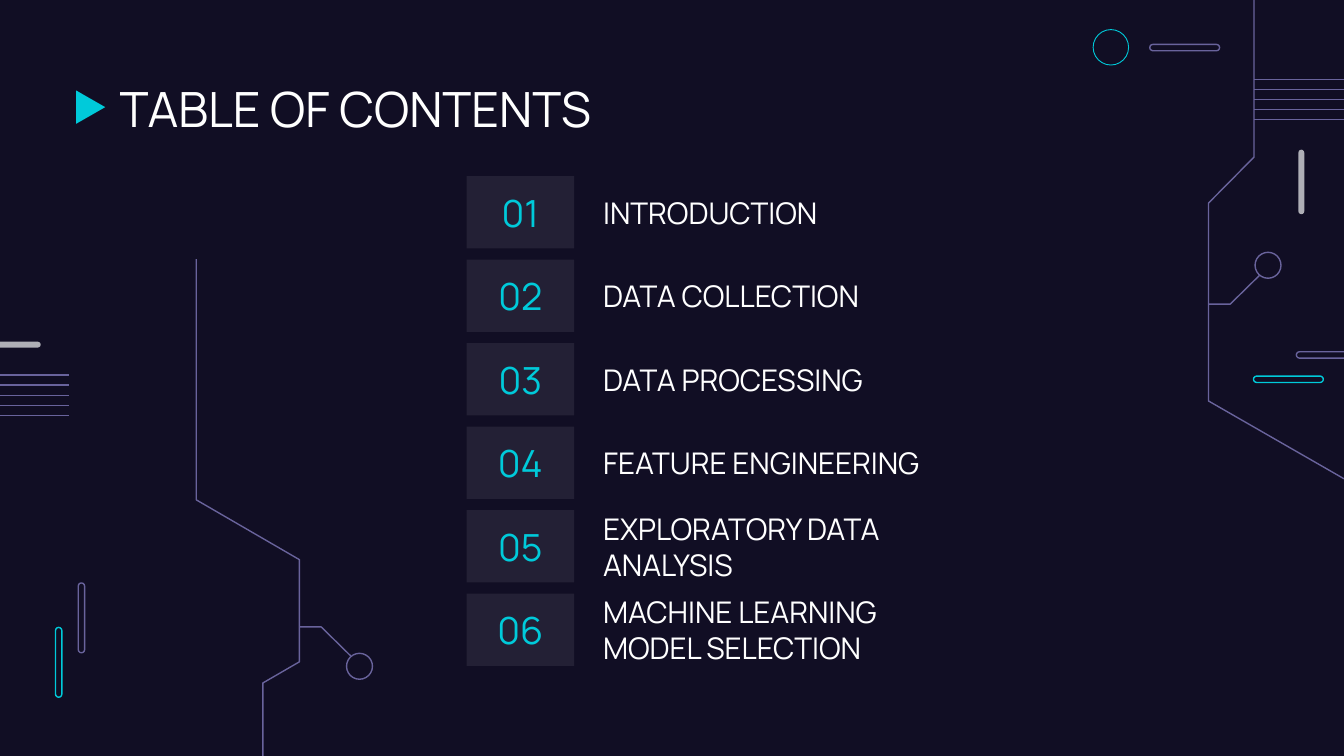
from dataclasses import dataclass

from lxml import etree
from pptx import Presentation
from pptx import util as u
from pptx.dml.color import RGBColor
from pptx.enum import shapes, text
from pptx.oxml.ns import qn


@dataclass(frozen=True)
class Theme:
    """Colours, font and sizes of the deck."""
    back: str = "110E24"
    accent: str = "00CADA"
    trace: str = "69639C"
    bar: str = "AFAFB6"
    white: str = "FFFFFF"
    tile_alpha: int = 8
    font: str = "Manrope"
    title: int = 26
    number: int = 20
    label: int = 16
    line: float = 0.75
    thin: float = 0.47


T = Theme()
KIND = shapes.MSO_SHAPE
TOPICS = ["INTRODUCTION", "DATA COLLECTION", "DATA PROCESSING", "FEATURE ENGINEERING",
          "EXPLORATORY DATA ANALYSIS", "MACHINE LEARNING MODEL SELECTION"]


def rgb(value):
    """Return the colour for a hex string."""
    return RGBColor.from_string(value)


def paint(sp, fill=None, line=None, width=T.line):
    """Set fill and outline, leaving out whichever is not given."""
    sp.shadow.inherit = False
    if fill:
        sp.fill.solid()
        sp.fill.fore_color.rgb = rgb(fill)
    else:
        sp.fill.background()
    if line:
        sp.line.color.rgb = rgb(line)
        sp.line.width = u.Pt(width)
    else:
        sp.line.fill.background()


def add_preset(slide, kind, x, y, w, h, **style):
    """Add a painted preset shape in a box given in centimetres."""
    sp = slide.shapes.add_shape(kind, u.Cm(x), u.Cm(y), u.Cm(w), u.Cm(h))
    paint(sp, **style)
    return sp


def add_pill(slide, x, y, w, h, **style):
    """Add a bar with fully rounded ends."""
    sp = add_preset(slide, KIND.ROUNDED_RECTANGLE, x, y, w, h, **style)
    sp.adjustments[0] = 0.5


def add_path(slide, x, y, points):
    """Add an open outline through points relative to x, y."""
    pts = [(u.Cm(x + dx), u.Cm(y + dy)) for dx, dy in points]
    builder = slide.shapes.build_freeform(*pts[0])
    builder.add_line_segments(pts[1:], close=False)
    paint(builder.convert_to_shape(), line=T.trace)


def write(sp, content, size, color, align=text.PP_ALIGN.LEFT, anchor=text.MSO_ANCHOR.MIDDLE):
    """Put one styled paragraph in a shape."""
    tf = sp.text_frame
    tf.word_wrap = True
    tf.vertical_anchor = anchor
    tf.margin_left = tf.margin_right = tf.margin_top = tf.margin_bottom = u.Cm(0.25)
    p = tf.paragraphs[0]
    p.text = content
    p.alignment = align
    p.font.name = T.font
    p.font.size = u.Pt(size)
    p.font.color.rgb = rgb(color)


def add_circuit(slide, x, y, trunk, branch, node):
    """Draw a trunk and its branch ending in a round node."""
    add_path(slide, x, y, trunk)
    add_path(slide, x, y, branch)
    add_preset(slide, KIND.OVAL, x + node[0], y + node[1], 0.49, 0.49, line=T.trace)


def add_bus(slide, x, y, w, count=5, pitch=0.19):
    """Draw evenly spaced horizontal lines."""
    for i in range(count):
        top = u.Cm(y + i * pitch)
        line = slide.shapes.add_connector(shapes.MSO_CONNECTOR.STRAIGHT,
                                          u.Cm(x), top, u.Cm(x + w), top)
        line.line.color.rgb = rgb(T.trace)
        line.line.width = u.Pt(T.line)
        etree.SubElement(line._element.spPr, qn("a:effectLst"))


def add_left_decor(slide, x, y):
    """Draw the ornaments along the left edge."""
    add_pill(slide, x + 1.05, y + 11.86, 0.12, 1.32, line=T.accent)
    add_pill(slide, x + 1.48, y + 11.02, 0.12, 1.32, line=T.trace)
    add_bus(slide, x, y + 7.09, 1.31)
    add_pill(slide, x - 0.45, y + 6.46, 1.22, 0.11, fill=T.bar)
    add_circuit(slide, x + 3.71, y + 4.9,
                [(0, 0), (0, 4.55), (1.95, 5.68), (1.95, 7.61), (1.26, 8.01), (1.26, 9.39)],
                [(1.95, 6.95), (2.36, 6.95), (2.92, 7.5)], (2.84, 7.45))


def add_right_decor(slide, x, y):
    """Draw the ornaments along the right edge."""
    add_preset(slide, KIND.OVAL, x, y + 0.56, 0.67, 0.67, line=T.accent, width=T.thin)
    for dx, dy, color in [(1.07, 0.84, T.trace), (3.03, 7.11, T.accent), (3.84, 6.65, T.trace)]:
        add_pill(slide, x + dx, y + dy, 1.32, 0.12, line=color)
    add_circuit(slide, x + 2.18, y,
                [(2.56, 9.05), (0, 7.58), (0, 3.84), (0.86, 2.97), (0.86, 0)],
                [(0, 5.75), (0.41, 5.75), (0.97, 5.2)], (0.88, 4.77))
    add_bus(slide, x + 3.04, y + 1.5, 1.7)
    add_pill(slide, x + 3.88, y + 2.83, 0.11, 1.22, fill=T.bar)


def add_heading(slide, x, y, w, h):
    """Add the title and its arrow marker."""
    marker = add_preset(slide, KIND.FLOWCHART_MERGE, x, y + 0.51, 0.63, 0.55, fill=T.accent)
    marker.rotation = 270
    box = slide.shapes.add_textbox(u.Cm(x + 0.61), u.Cm(y), u.Cm(w - 0.61), u.Cm(h))
    write(box, "TABLE OF CONTENTS", T.title, T.white, anchor=text.MSO_ANCHOR.TOP)


def add_contents(slide, x, y, w, h):
    """Add the numbered topics as equal rows."""
    gap, tile_w, label_x = 0.21, 2.03, 2.33
    row_h = (h - gap * (len(TOPICS) - 1)) / len(TOPICS)
    for i, topic in enumerate(TOPICS):
        top = y + i * (row_h + gap)
        tile = add_preset(slide, KIND.RECTANGLE, x, top, tile_w, row_h, fill=T.white)
        color = tile.fill._xPr.find(".//" + qn("a:srgbClr"))
        etree.SubElement(color, qn("a:alpha"), val=str(T.tile_alpha * 1000))
        write(tile, f"{i + 1:02}", T.number, T.accent, text.PP_ALIGN.CENTER)
        label = slide.shapes.add_textbox(u.Cm(x + label_x), u.Cm(top),
                                         u.Cm(w - label_x), u.Cm(row_h))
        write(label, topic, T.label, T.white)


def main():
    """Build and save the contents slide."""
    prs = Presentation()
    prs.slide_width, prs.slide_height = u.Cm(25.4), u.Cm(14.29)
    slide = prs.slides.add_slide(prs.slide_layouts[6])
    slide.background.fill.solid()
    slide.background.fill.fore_color.rgb = rgb(T.back)
    add_left_decor(slide, 0, 0)
    add_right_decor(slide, 20.66, 0)
    add_heading(slide, 1.4, 1.24, 22.02, 1.6)
    add_contents(slide, 8.82, 3.33, 9.87, 9.26)
    prs.save("out.pptx")


if __name__ == "__main__":
    main()
